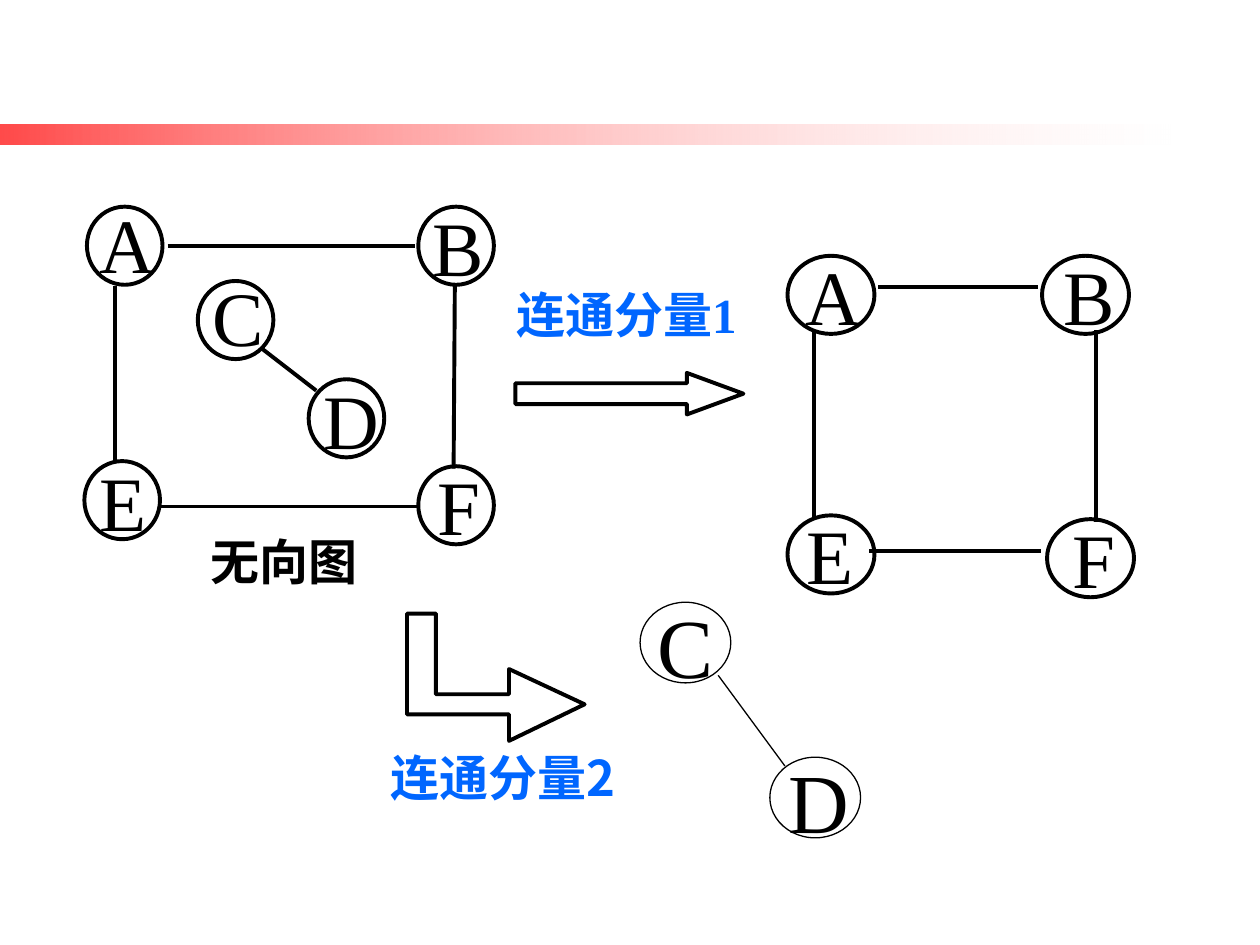
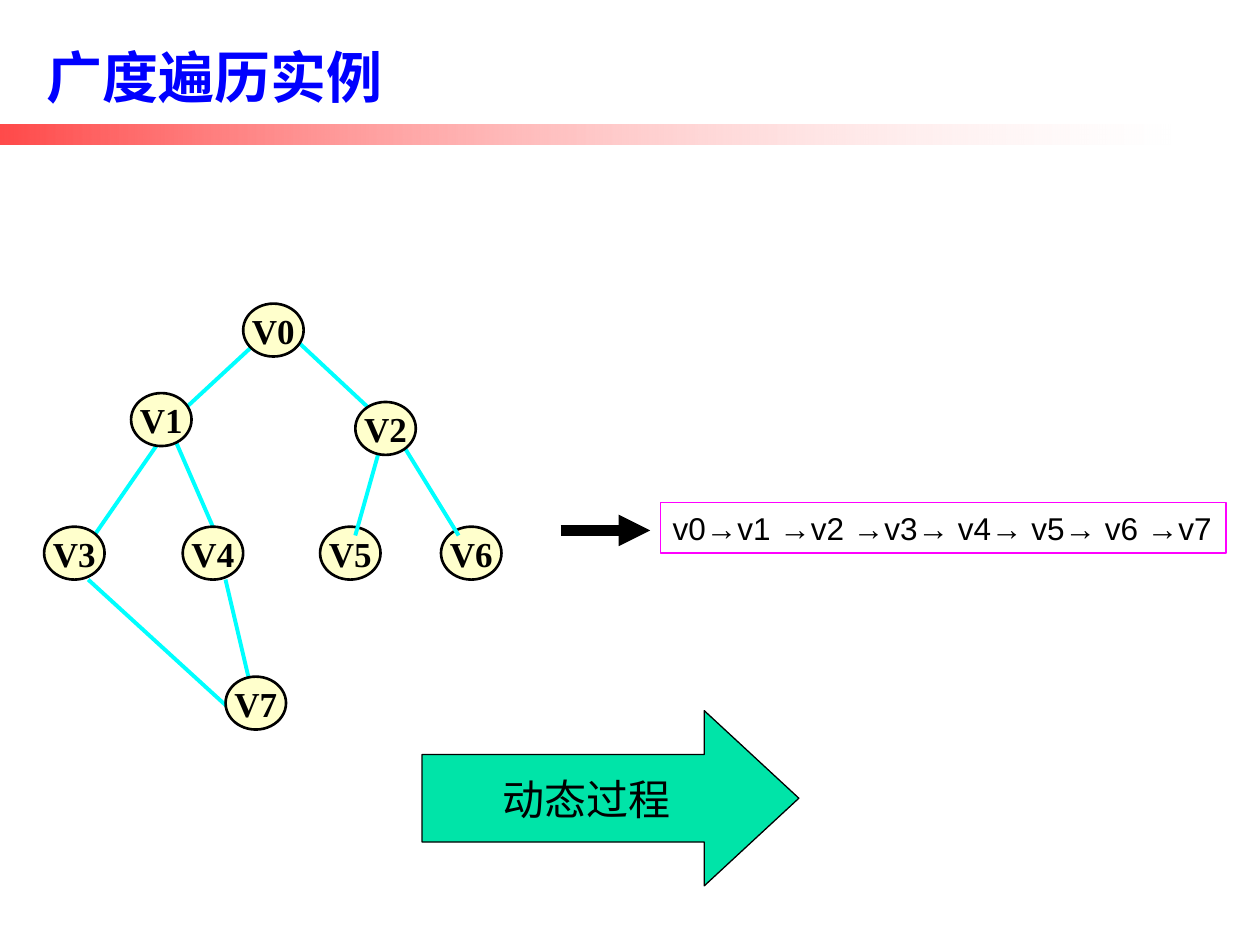
from lxml import etree
from pptx import Presentation
from pptx import util as u
from pptx.dml.color import RGBColor
from pptx.enum import shapes, text
from pptx.oxml.ns import qn

# Slide grid: 100 columns by 75 rows of square cells
WIDTH, HEIGHT = u.Inches(10), u.Inches(7.5)
CELL = WIDTH / 100

BLACK = RGBColor(0, 0, 0)
WHITE = RGBColor(255, 255, 255)
RED = RGBColor(255, 0, 0)
BLUE = RGBColor(0, 0, 255)
SKY = RGBColor(0, 0x66, 255)
CYAN = RGBColor(0, 255, 255)
PINK = RGBColor(255, 0, 255)
CREAM = RGBColor(255, 255, 0xCC)
GREEN = RGBColor(0, 0xE4, 0xA8)

SERIF, SANS, TITLE, HAN = "Times New Roman", "Arial", "Lato", "Noto Sans CJK SC"
KIND = shapes.MSO_SHAPE
LEFT, MID, FULL = text.PP_ALIGN.LEFT, text.PP_ALIGN.CENTER, text.PP_ALIGN.JUSTIFY
TOP, CENTER, BASE = text.MSO_ANCHOR.TOP, text.MSO_ANCHOR.MIDDLE, text.MSO_ANCHOR.BOTTOM

# Nodes: name, column, row, then the shift of the letter from the ring
GRAPH = [("B", 33.2, 16.4, 0.7, -0.7), ("E", 6.7, 36.6, 0.6, -0.6),
         ("A", 6.9, 16.4, 0.7, -0.9), ("D", 24.5, 30.1, 0.9, -0.6),
         ("C", 15.7, 22.3, 0.7, -1), ("F", 33.2, 37, 0.7, -0.7)]
RING = [("B", 82.7, 20.3, 0.8, -0.7), ("A", 62.5, 20.3, 0.7, -0.7),
        ("F", 83.1, 41.2, 0.8, -0.7), ("E", 62.5, 40.9, 0.4, -0.7)]
PAIR = [("D", 61.1, 60.1, 0.8, -0.7), ("C", 50.8, 47.8, 0.5, -0.7)]
LEAVES = [("V6", 35, 41.8), ("V5", 25.4, 41.8)]
TREE = [("V2", 28.2, 31.9), ("V1", 10.4, 31.2), ("V4", 14.5, 41.8),
        ("V0", 19.3, 24.1), ("V7", 17.9, 53.7), ("V3", 3.5, 41.8)]

# Edges: start column and row, end column and row
LINKS = [(13.3, 19.5, 32.9, 19.5), (9.1, 22.7, 9.1, 36.6), (12.6, 40.2, 33.3, 40.2),
         (36.1, 22.6, 36, 37.2), (20.7, 27.6, 25.1, 31),
         (64.6, 26.2, 64.6, 41), (69.7, 22.8, 82.4, 22.8),
         (69, 43.7, 82.6, 43.7), (87, 26.2, 87, 41.4)]
BOUGHS = [(19.9, 27.6, 14.5, 32.6), (12.4, 35.4, 7, 43.2), (13.8, 34.7, 17.2, 42.5),
          (17.9, 46, 19.9, 54.5), (7, 46, 18.6, 56.6), (23.4, 26.9, 29.5, 32.6),
          (30.2, 35.4, 28.2, 42.5), (31.6, 34.7, 36.4, 42.5)]
ELBOW = [(34.6, 48.7), (34.6, 55.1), (40.4, 55.1), (40.4, 53.1), (46.4, 55.9),
         (40.4, 58.8), (40.4, 56.7), (32.3, 56.7), (32.3, 48.7)]


def grid(*cells):
    return [round(c * CELL) for c in cells]


def apply(item, values):
    for name, value in values.items():
        setattr(item, name, value)


def write(shape, words, size, font, color=BLACK, bold=False, align=MID,
          anchor=TOP, wrap=True, pad=(1, 0.5)):
    frame = shape.text_frame
    side, edge = grid(*pad)
    apply(frame, {"word_wrap": wrap, "vertical_anchor": anchor,
                  "margin_left": side, "margin_right": side,
                  "margin_top": edge, "margin_bottom": edge})
    para = frame.paragraphs[0]
    para.alignment = align
    run = para.add_run()
    run.text = words
    apply(run.font, {"size": u.Pt(size), "name": font, "bold": bold})
    run.font.color.rgb = color
    etree.SubElement(run._r.get_or_add_rPr(), qn("a:ea"), typeface=HAN)


def paint(shape, fill=None, line=BLACK, weight=2.25):
    shape.shadow.inherit = False
    if fill is None:
        shape.fill.background()
    else:
        shape.fill.solid()
        shape.fill.fore_color.rgb = fill
    shape.line.color.rgb = line
    shape.line.width = u.Pt(weight)


def draw(slide, kind, box, *look):
    shape = slide.shapes.add_shape(kind, *grid(*box))
    paint(shape, *look)
    return shape


def arrow(slide, box, head, *look):
    shape = draw(slide, KIND.RIGHT_ARROW, box, *look)
    shape.adjustments[1] = head
    return shape


def label(slide, box, words, size, font, **look):
    write(slide.shapes.add_textbox(*grid(*box)), words, size, font, **look)


def edge(slide, ends, color=BLACK, weight=2.25, tip=False):
    line = slide.shapes.add_connector(shapes.MSO_CONNECTOR.STRAIGHT, *grid(*ends))
    line.line.color.rgb = color
    line.line.width = u.Pt(weight)
    if tip:
        etree.SubElement(line.line._get_or_add_ln(), qn("a:tailEnd"), type="triangle")
    etree.SubElement(line._element.spPr, qn("a:effectLst"))


def rings(slide, nodes, wide, high, size=44, weight=2.25):
    for name, col, row, right, down in nodes:
        label(slide, (col + right, row + down, wide - 1, high + 1.2), name, size,
              SERIF, pad=(0.2, 0.1))
        draw(slide, KIND.OVAL, (col, row, wide, high), None, BLACK, weight)


def discs(slide, nodes):
    for name, col, row in nodes:
        disc = draw(slide, KIND.OVAL, (col, row, 4.8, 4.2), CREAM, BLACK, 1.5)
        write(disc, name, 20, SERIF, bold=True, anchor=CENTER, wrap=False)


def band(slide):
    bar = slide.shapes.add_shape(KIND.RECTANGLE, *grid(0, 9.9, 92.9, 1.6))
    bar.shadow.inherit = False
    bar.line.fill.background()
    bar.fill.gradient()
    bar.fill.gradient_angle = 180
    for stop, color in zip(bar.fill.gradient_stops, (WHITE, RED)):
        stop.color.rgb = color
    tints = bar._element.spPr.find(qn("a:gradFill")).iter(qn("a:srgbClr"))
    for tint, alpha in zip(tints, ("18000", "71000")):
        etree.SubElement(tint, qn("a:alpha"), val=alpha)


def start(deck, layout):
    slide = deck.slides.add_slide(deck.slide_layouts[layout])
    band(slide)
    return slide


def parts(deck):
    slide = start(deck, 6)
    # Whole graph and its two components
    rings(slide, GRAPH, 6, 6.2)
    rings(slide, RING, 6.9, 6.2)
    rings(slide, PAIR, 7.2, 6.4, 48, 0.75)
    for ends in LINKS:
        edge(slide, ends)
    edge(slide, (57, 53.6, 62.3, 60.8), weight=0.75)
    # Arrows from the graph to each component
    arrow(slide, (40.9, 29.6, 18.1, 3.3), 1.36)
    pen = slide.shapes.build_freeform(*grid(*ELBOW[0]))
    pen.add_line_segments([grid(*point) for point in ELBOW[1:]], close=True)
    paint(pen.convert_to_shape())
    # Captions
    look = {"bold": True, "align": FULL}
    label(slide, (16.7, 42.1, 13.3, 4.3), "无向图", 28, SERIF, pad=(0, 0.1), **look)
    label(slide, (40, 22.1, 20.8, 10.4), "连通分量1", 28, SERIF, color=SKY, **look)
    label(slide, (30, 58.8, 21.7, 5.7), "连通分量2", 28, HAN, color=SKY, **look)


def breadth(deck):
    slide = start(deck, 5)
    title = slide.shapes.title
    apply(title, dict(zip(("left", "top", "width", "height"), grid(2.7, 2.1, 85.2, 7.1))))
    write(title, "广度遍历实例", 32, TITLE, BLUE, True, LEFT, BASE)
    # Order of the visit
    route = draw(slide, KIND.RECTANGLE, (52.4, 39.9, 44.9, 4), None, PINK, 0.75)
    write(route, "v0→v1 →v2 →v3→ v4→ v5→ v6 →v7", 18, SANS, align=LEFT)
    route.text_frame.margin_right = 0
    edge(slide, (44.5, 42.1, 51.6, 42.1), weight=6, tip=True)
    show = arrow(slide, (33.5, 56.4, 29.9, 13.9), 0.54, GREEN, BLACK, 0.75)
    write(show, "动态过程", 24, TITLE, anchor=CENTER, wrap=False)
    # Tree: edges lie over the right leaves and under the other nodes
    discs(slide, LEAVES)
    for ends in BOUGHS:
        edge(slide, ends, CYAN)
    discs(slide, TREE)


def main():
    deck = Presentation()
    apply(deck, {"slide_width": WIDTH, "slide_height": HEIGHT})
    parts(deck)
    breadth(deck)
    deck.save("out.pptx")


if __name__ == "__main__":
    main()
